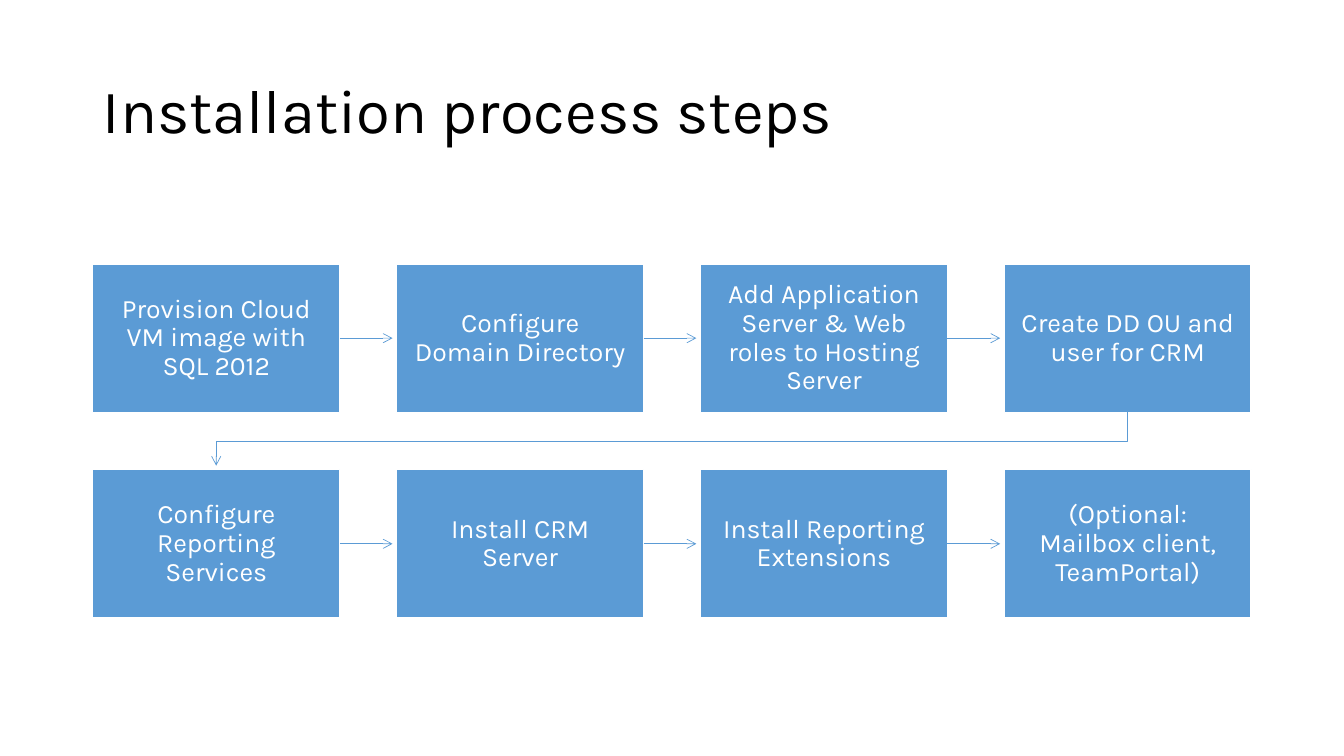
from dataclasses import dataclass

import pptx
import pptx.dml.color
import pptx.enum.shapes
import pptx.enum.text
import pptx.oxml
import pptx.oxml.ns
import pptx.util
from pptx.util import Inches

BLUE = pptx.dml.color.RGBColor(0x5B, 0x9B, 0xD5)
WHITE = pptx.dml.color.RGBColor(0xFF, 0xFF, 0xFF)
BLACK = pptx.dml.color.RGBColor(0x00, 0x00, 0x00)
FONT = "Karla"

# Grid, in inches: four columns between equal margins, two rows
SLIDE_W, SLIDE_H = 13.33, 7.5
MARGIN, TOP = 0.92, 2.62
STEP_W, STEP_H = 2.45, 1.47
COLUMNS = 4
COLUMN_GAP = (SLIDE_W - 2 * MARGIN - COLUMNS * STEP_W) / (COLUMNS - 1)
ROW_GAP = 0.57
ARROW_CLEARANCE = 0.04


@dataclass(frozen=True)
class Step:
    label: str
    column: int
    row: int

    @property
    def left(self) -> float:
        return MARGIN + self.column * (STEP_W + COLUMN_GAP)

    @property
    def top(self) -> float:
        return TOP + self.row * (STEP_H + ROW_GAP)

    @property
    def center(self) -> float:
        return self.left + STEP_W / 2

    @property
    def middle(self) -> float:
        return self.top + STEP_H / 2


LABELS = [
    "Provision Cloud VM image with SQL 2012",
    "Configure Domain Directory",
    "Add Application Server & Web roles to Hosting Server",
    "Create DD OU and user for CRM",
    "Configure Reporting Services",
    "Install CRM Server",
    "Install Reporting Extensions",
    "(Optional: Mailbox client, TeamPortal)",
]
STEPS = [Step(label, i % COLUMNS, i // COLUMNS) for i, label in enumerate(LABELS)]


def apply(target, values: dict) -> None:
    for name, value in values.items():
        setattr(target, name, value)


def format_text(frame, size: float, color, align, inset: tuple) -> None:
    apply(frame, {
        "word_wrap": True,
        "auto_size": pptx.enum.text.MSO_AUTO_SIZE.NONE,
        "vertical_anchor": pptx.enum.text.MSO_ANCHOR.MIDDLE,
        "margin_left": Inches(inset[0]), "margin_right": Inches(inset[0]),
        "margin_top": Inches(inset[1]), "margin_bottom": Inches(inset[1]),
    })
    paragraph = frame.paragraphs[0]
    apply(paragraph, {"alignment": align, "line_spacing": 0.9})
    apply(paragraph.runs[0].font, {"name": FONT, "size": pptx.util.Pt(size)})
    paragraph.runs[0].font.color.rgb = color


def draw_title(slide, text: str) -> None:
    title = slide.shapes.title
    apply(title, {"left": Inches(MARGIN), "top": Inches(0.4),
                  "width": Inches(SLIDE_W - 2 * MARGIN), "height": Inches(1.45)})
    title.text_frame.text = text
    format_text(title.text_frame, 44, BLACK, pptx.enum.text.PP_ALIGN.LEFT, (0.1, 0.05))


def draw_step(slide, step: Step):
    box = slide.shapes.add_shape(
        pptx.enum.shapes.MSO_SHAPE.RECTANGLE,
        Inches(step.left), Inches(step.top), Inches(STEP_W), Inches(STEP_H))
    box.shadow.inherit = False
    box.fill.solid()
    box.fill.fore_color.rgb = BLUE
    box.line.color.rgb = WHITE
    box.line.width = pptx.util.Pt(1)
    box.text_frame.text = step.label
    format_text(box.text_frame, 19, WHITE, pptx.enum.text.PP_ALIGN.CENTER, (0.15, 0.15))
    return box


def style_arrow(arrow) -> None:
    arrow.line.color.rgb = BLUE
    arrow.line.width = pptx.util.Pt(0.5)
    line = arrow.line._get_or_add_ln()
    line.append(pptx.oxml.parse_xml(
        f'<a:tailEnd {pptx.oxml.ns.nsdecls("a")} type="arrow"/>'))


def draw_arrow(slide, source: Step, target: Step, source_box) -> None:
    arrow = slide.shapes.add_connector(
        pptx.enum.shapes.MSO_CONNECTOR.STRAIGHT,
        Inches(source.left + STEP_W), Inches(source.middle),
        Inches(target.left - ARROW_CLEARANCE), Inches(target.middle))
    arrow.begin_connect(source_box, 3)
    style_arrow(arrow)
    arrow._element.spPr.append(pptx.oxml.parse_xml(
        f'<a:effectLst {pptx.oxml.ns.nsdecls("a")}/>'))


def draw_row_return(slide, source: Step, target: Step) -> None:
    bottom = source.top + STEP_H
    turn = bottom + ROW_GAP / 2
    points = [(source.center, bottom), (source.center, turn), (target.center, turn),
              (target.center, target.top - ARROW_CLEARANCE)]
    start, *rest = [(Inches(x), Inches(y)) for x, y in points]
    builder = slide.shapes.build_freeform(*start)
    builder.add_line_segments(rest, close=False)
    arrow = builder.convert_to_shape()
    arrow.shadow.inherit = False
    arrow.fill.background()
    style_arrow(arrow)


def main() -> None:
    deck = pptx.Presentation()
    deck.slide_width, deck.slide_height = Inches(SLIDE_W), Inches(SLIDE_H)
    slide = deck.slides.add_slide(deck.slide_layouts.get_by_name("Title Only"))
    draw_title(slide, "Installation process steps")

    # Process steps
    boxes = [draw_step(slide, step) for step in STEPS]

    # Arrows along each row, and back to the start of the next one
    for source, target, box in zip(STEPS, STEPS[1:], boxes):
        if source.row == target.row:
            draw_arrow(slide, source, target, box)
        else:
            draw_row_return(slide, source, target)

    deck.save("out.pptx")


if __name__ == "__main__":
    main()
